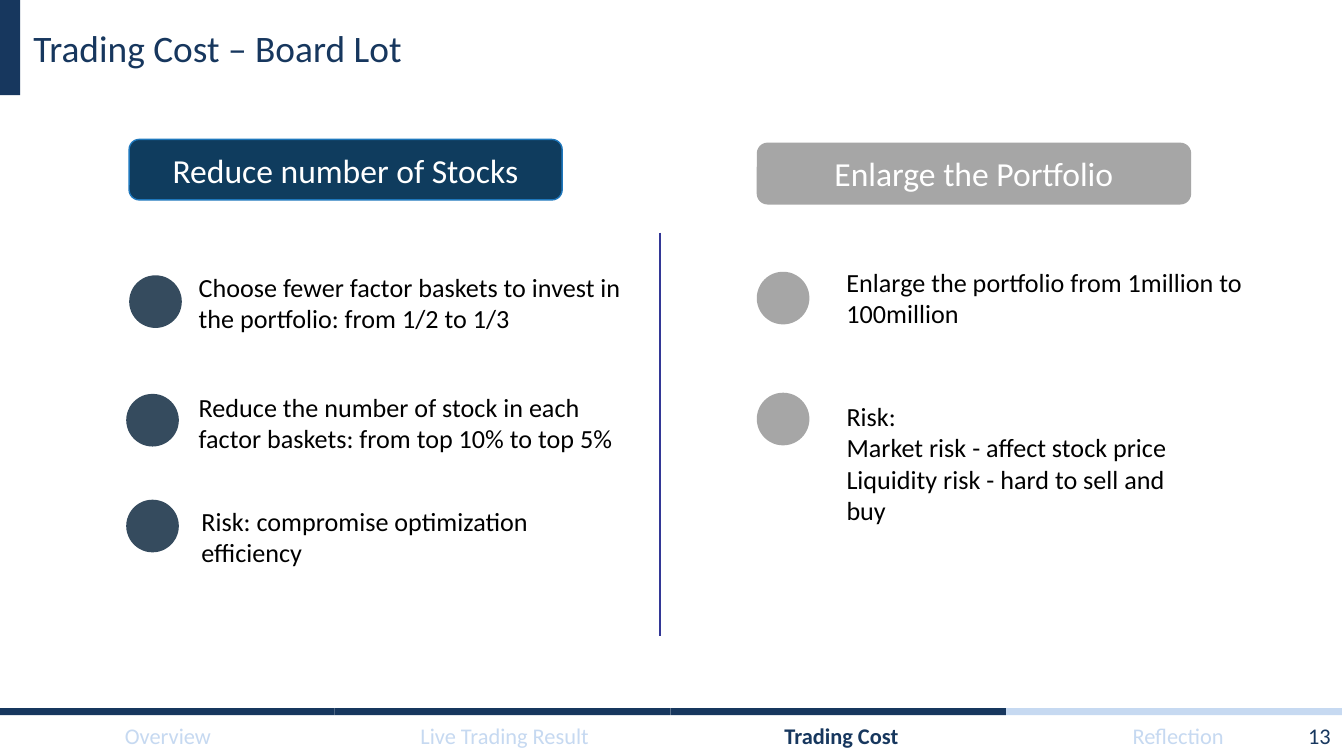
from pptx import Presentation
from pptx.dml.color import RGBColor
from pptx.enum.shapes import MSO_CONNECTOR as CONN, MSO_SHAPE as SHAPE
from pptx.enum.text import MSO_ANCHOR as ANCHOR, PP_ALIGN as ALIGN
from pptx.oxml.ns import qn
from pptx.util import Pt
from lxml.etree import SubElement

NAVY, PALE, GREY, SLATE = "17375E", "C6D9F1", "A6A6A6", "354B5E"
WHITE, BLACK = "FFFFFF", "000000"


def rgb(value):
    return RGBColor.from_string(value)


def write(sp, paragraphs, size, color, align=ALIGN.LEFT, anchor=ANCHOR.TOP, bold=False):
    tf = sp.text_frame
    tf.word_wrap = True
    tf.vertical_anchor = anchor
    for i, text in enumerate(paragraphs):
        p = tf.paragraphs[0] if i == 0 else tf.add_paragraph()
        p.alignment = align
        r = p.add_run()
        r.text = text
        r.font.name = "Calibri"
        r.font.size = Pt(size)
        r.font.bold = bold
        r.font.color.rgb = rgb(color)


def add_text(s, box, paragraphs, size, color, **style):
    sp = s.shapes.add_textbox(*map(Pt, box))
    write(sp, paragraphs, size, color, **style)


def add_box(s, kind, box, fill, line=None):
    sp = s.shapes.add_shape(kind, *map(Pt, box))
    sp.shadow.inherit = False
    sp.fill.solid()
    sp.fill.fore_color.rgb = rgb(fill)
    if line:
        sp.line.color.rgb = rgb(line)
        sp.line.width = Pt(0.75)
    else:
        sp.line.fill.background()
    return sp


def add_header(s, x, y, w, h, title):
    add_box(s, SHAPE.RECTANGLE, (x, y, 11.5, h), NAVY)
    add_text(s, (x + 11.5, y, w - 11.5, h), [title], 20, NAVY, anchor=ANCHOR.MIDDLE)


def add_footer(s, x, y, w, h, sections, current, number):
    bar_w, bar_h, label_w = w / len(sections), 3.8, 180
    for i, name in enumerate(sections):
        add_box(s, SHAPE.RECTANGLE, (x + i * bar_w, y, bar_w, bar_h),
                NAVY if i <= current else PALE)
        add_text(s, (i * (label_w + 0.4), y + bar_h, label_w, h - bar_h), [name], 12,
                 NAVY if i == current else PALE, align=ALIGN.CENTER, bold=i == current)
    add_text(s, (552, y + bar_h, 168, h - bar_h), [number], 12, NAVY,
             align=ALIGN.RIGHT, anchor=ANCHOR.MIDDLE)


def add_column(s, x, y, w, heading, fill, line, dot_fill, items):
    pill = add_box(s, SHAPE.ROUNDED_RECTANGLE, (x, y, w, 32.4), fill, line)
    write(pill, [heading], 18, WHITE, align=ALIGN.CENTER, anchor=ANCHOR.MIDDLE)
    for dot_x, dot_y, text_x, text_y, text_w, text_h, paragraphs in items:
        add_box(s, SHAPE.OVAL, (x + dot_x, y + dot_y, 28.2, 28.2), dot_fill)
        add_text(s, (x + text_x, y + text_y, text_w, text_h), paragraphs, 14, BLACK)


def add_divider(s, x, y, h):
    line = s.shapes.add_connector(CONN.STRAIGHT, Pt(x), Pt(y), Pt(x), Pt(y + h))
    line.line.color.rgb = rgb("333896")
    line.line.width = Pt(0.75)
    SubElement(line._element.spPr, qn("a:effectLst"))


def main():
    prs = Presentation()
    prs.slide_width, prs.slide_height = Pt(720), Pt(405)
    s = prs.slides.add_slide(prs.slide_layouts[6])
    add_header(s, -0.7, 0, 663, 51, "Trading Cost – Board Lot")
    add_footer(s, -0.7, 379.4, 719.6, 25.4,
               ["Overview", "Live Trading Result", "Trading Cost", "Reflection"], 2, "13")
    add_divider(s, 353.5, 124.6, 216)
    add_column(s, 69.2, 74.7, 232, "Reduce number of Stocks", "0F3C5E", "1E77BC", SLATE, [
        (0, 72.8, 30.2, 67.1, 240.5, 41,
         ["Choose fewer factor baskets to invest in the portfolio: from 1/2 to 1/3"]),
        (-1.6, 136.3, 30.2, 131.2, 240.5, 41,
         ["Reduce the number of stock in each factor baskets: from top 10% to top 5%"]),
        (-1.6, 193, 31.6, 192.5, 227.5, 41,
         ["Risk: compromise optimization efficiency"]),
    ])
    add_column(s, 405.8, 76.8, 232, "Enlarge the Portfolio", GREY, GREY, GREY, [
        (-0.4, 68.8, 40.6, 62.2, 230.4, 41,
         ["Enlarge the portfolio from 1million to 100million"]),
        (-0.4, 133.6, 40.6, 134.2, 190, 75,
         ["Risk:",
          "Market risk - affect stock price Liquidity risk - hard to sell and buy"]),
    ])
    prs.save("out.pptx")


if __name__ == "__main__":
    main()
